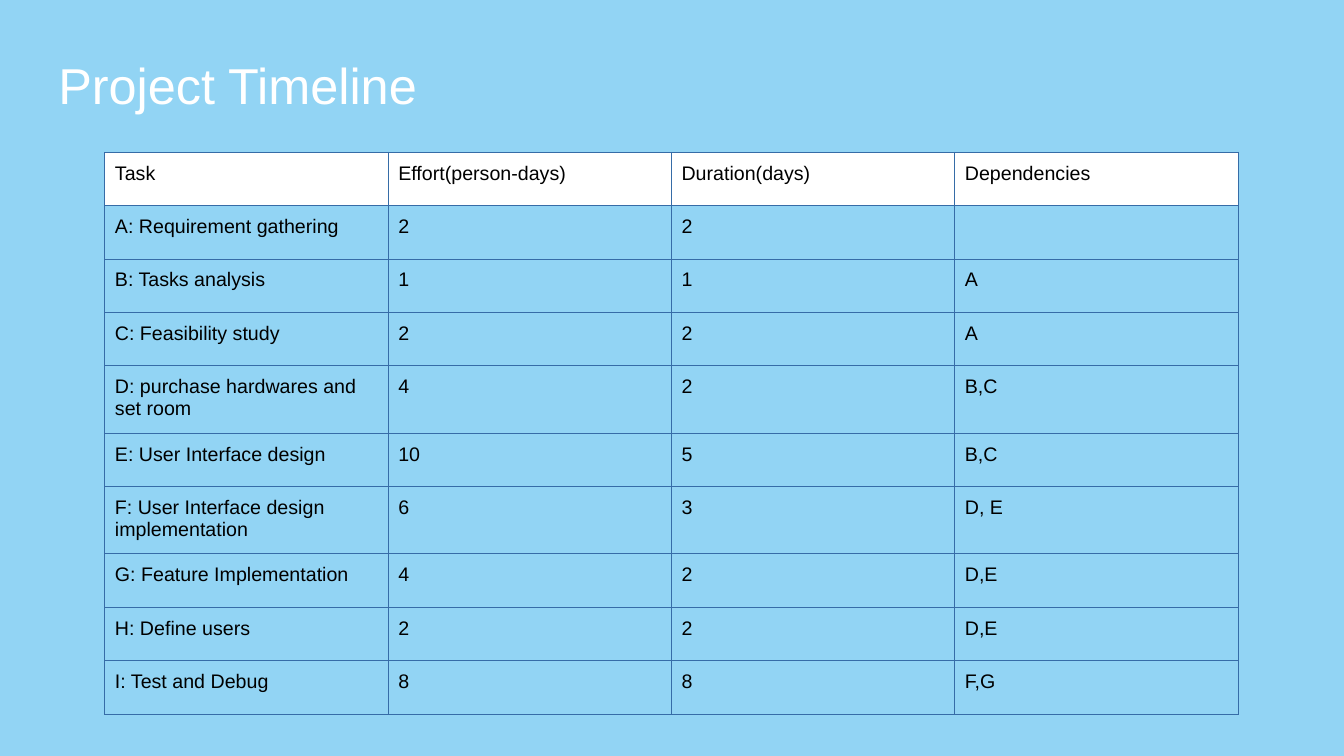
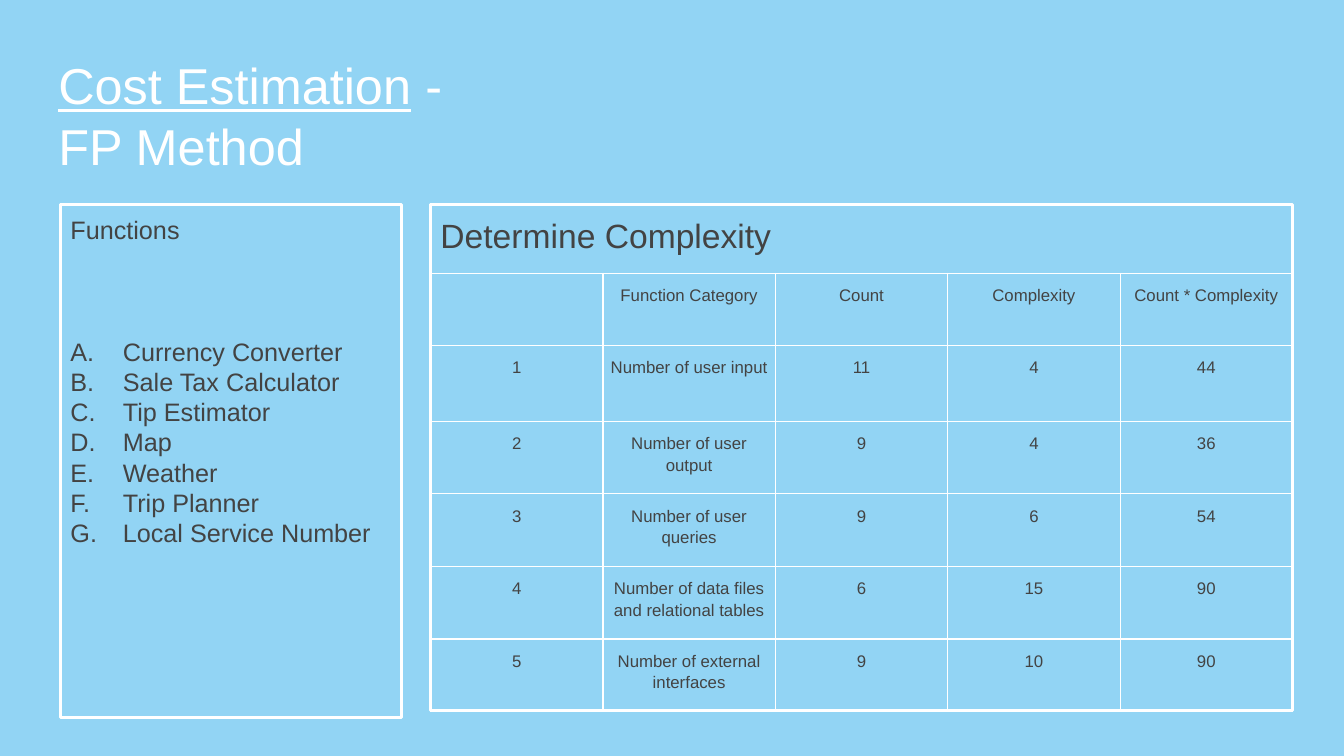
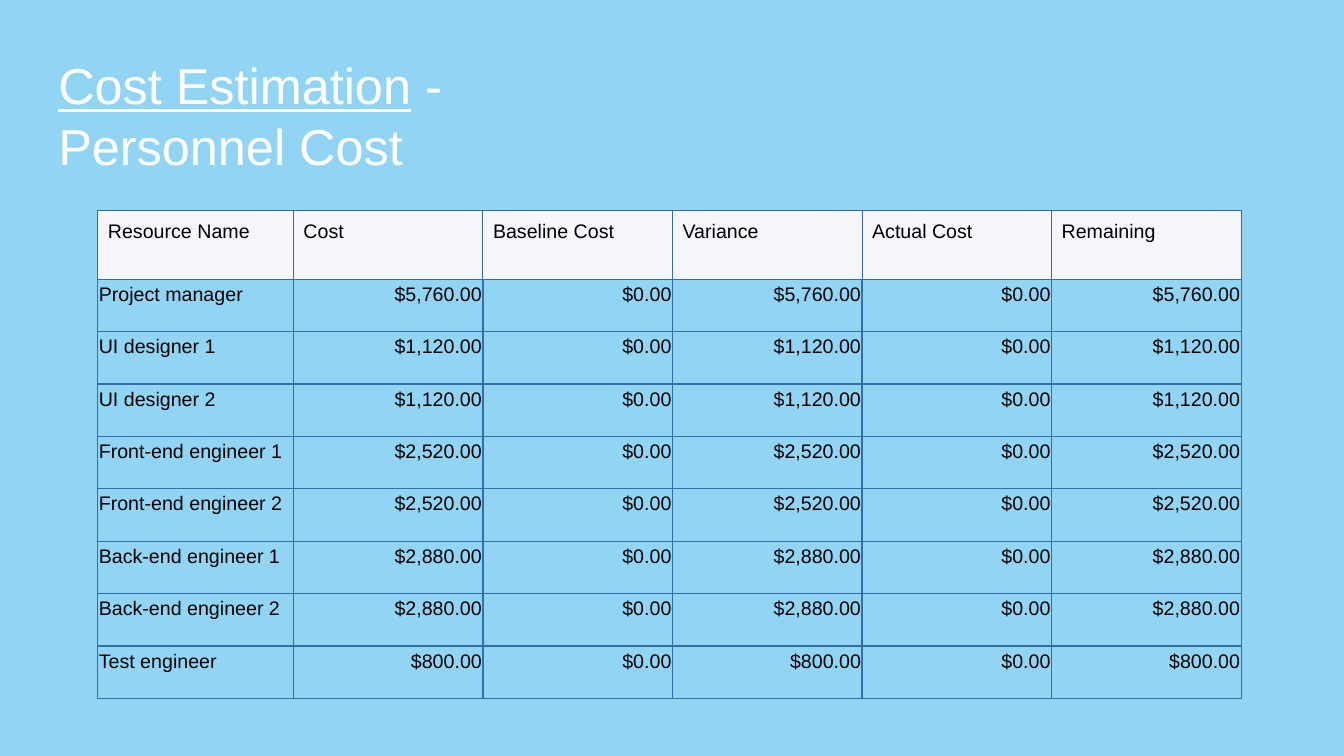
from dataclasses import dataclass

from lxml import etree
from pptx import Presentation
from pptx.dml.color import RGBColor
from pptx.enum.shapes import MSO_SHAPE
from pptx.enum.text import MSO_ANCHOR, PP_ALIGN
from pptx.oxml.ns import qn
from pptx.util import Inches, Pt

RECTANGLE = MSO_SHAPE.RECTANGLE
TOP = MSO_ANCHOR.TOP
LEFT, CENTER, RIGHT = PP_ALIGN.LEFT, PP_ALIGN.CENTER, PP_ALIGN.RIGHT

FONT = "Arial"
COLORS = {
    "sky": "92D4F4",
    "white": "FFFFFF",
    "ink": "000000",
    "slate": "434343",
    "grid": "366CA7",
    "header": "F5F7FC",
}

TASKS = [
    ("Task", "Effort(person-days)", "Duration(days)", "Dependencies"),
    ("A: Requirement gathering", "2", "2", ""),
    ("B: Tasks analysis", "1", "1", "A"),
    ("C: Feasibility study", "2", "2", "A"),
    ("D: purchase hardwares and set room", "4", "2", "B,C"),
    ("E: User Interface design", "10", "5", "B,C"),
    ("F: User Interface design implementation", "6", "3", "D, E"),
    ("G: Feature Implementation", "4", "2", "D,E"),
    ("H: Define users", "2", "2", "D,E"),
    ("I: Test and Debug", "8", "8", "F,G"),
]
FUNCTIONS = [
    "Currency Converter", "Sale Tax Calculator", "Tip Estimator", "Map",
    "Weather", "Trip Planner", "Local Service Number",
]
CATEGORIES = [
    ("Number of user input", 11, 4),
    ("Number of user output", 9, 4),
    ("Number of user queries", 9, 6),
    ("Number of data files and relational tables", 6, 15),
    ("Number of external interfaces", 9, 10),
]
PERSONNEL = [
    ("Project manager", 5760),
    ("UI designer 1", 1120),
    ("UI designer 2", 1120),
    ("Front-end engineer 1", 2520),
    ("Front-end engineer 2", 2520),
    ("Back-end engineer 1", 2880),
    ("Back-end engineer 2", 2880),
    ("Test engineer", 800),
]


@dataclass
class CellStyle:
    size: int = 14
    color: str = "ink"
    fill: str | None = None
    align: PP_ALIGN = LEFT
    spacing: float | None = None
    inset_x: float = 0.1
    inset_y: float = 0.1
    border: str = "grid"
    border_top: float = 1
    border_side: float = 1
    border_bottom: float = 1


def rgb(name):
    return RGBColor.from_string(COLORS[name])


def set_font(paragraph, size, color):
    font = paragraph.font
    font.name, font.size = FONT, Pt(size)
    font.color.rgb = rgb(color)


def set_insets(holder, x=0.1, y=0.1):
    holder.margin_left = holder.margin_right = Inches(x)
    holder.margin_top = holder.margin_bottom = Inches(y)


def add_title(slide, topic, rest=(), underline=False):
    """Title whose topic may be underlined; each item of rest is (text, starts a new line)."""
    frame = slide.shapes.add_textbox(
        Inches(0.48), Inches(0.44), Inches(6.18), Inches(0.7)).text_frame
    frame.word_wrap = True
    set_insets(frame)
    paragraph = frame.paragraphs[0]
    run = paragraph.add_run()
    run.text = topic
    if underline:
        run.font.underline = True
    for text, new_line in rest:
        if new_line:
            paragraph = frame.add_paragraph()
        paragraph.add_run().text = text
    for paragraph in frame.paragraphs:
        set_font(paragraph, 36, "white")


def add_panel(slide, left, top, width, height, heading, size):
    """White outlined panel; returns its text frame."""
    panel = slide.shapes.add_shape(
        RECTANGLE, Inches(left), Inches(top), Inches(width), Inches(height))
    panel.shadow.inherit = False
    panel.fill.background()
    panel.line.color.rgb = rgb("white")
    panel.line.width = Pt(2.25)
    frame = panel.text_frame
    frame.word_wrap = True
    frame.vertical_anchor = TOP
    set_insets(frame)
    paragraph = frame.paragraphs[0]
    paragraph.text = heading
    paragraph.alignment = LEFT
    set_font(paragraph, size, "slate")
    return frame


def add_lettered_list(frame, items, size, gap_before):
    for index, item in enumerate(items):
        paragraph = frame.add_paragraph()
        paragraph.text = item
        paragraph.alignment = LEFT
        set_font(paragraph, size, "slate")
        if index == 0:
            paragraph.space_before = Pt(gap_before)
        properties = paragraph._p.get_or_add_pPr()
        properties.set("marL", str(Inches(0.52)))
        properties.set("indent", str(-Inches(0.52)))
        numbering = etree.Element(qn("a:buAutoNum"), type="alphaUcPeriod")
        properties.find(qn("a:defRPr")).addprevious(numbering)


def set_borders(cell, style):
    properties = cell._tc.get_or_add_tcPr()
    widths = {"L": style.border_side, "R": style.border_side,
              "T": style.border_top, "B": style.border_bottom}
    for side, width in widths.items():
        line = etree.SubElement(properties, qn(f"a:ln{side}"), w=str(Pt(width)))
        fill = etree.SubElement(line, qn("a:solidFill"))
        etree.SubElement(fill, qn("a:srgbClr"), val=COLORS[style.border])


def fill_cell(cell, text, style):
    set_borders(cell, style)
    if style.fill:
        cell.fill.solid()
        cell.fill.fore_color.rgb = rgb(style.fill)
    else:
        cell.fill.background()
    set_insets(cell, style.inset_x, style.inset_y)
    paragraph = cell.text_frame.paragraphs[0]
    paragraph.text = text
    paragraph.alignment = style.align
    if style.spacing:
        paragraph.line_spacing = style.spacing
    set_font(paragraph, style.size, style.color)


def add_grid(slide, left, top, widths, heights, rows, style_of):
    """Table whose cell styles come from style_of(row, column)."""
    table = slide.shapes.add_table(
        len(rows), len(widths), Inches(left), Inches(top),
        Inches(sum(widths)), Inches(sum(heights))).table
    table.first_row = table.horz_banding = False
    for column, width in zip(table.columns, widths):
        column.width = Inches(width)
    for row, height in zip(table.rows, heights):
        row.height = Inches(height)
    for r, texts in enumerate(rows):
        for c, text in enumerate(texts):
            fill_cell(table.cell(r, c), text, style_of(r, c))


def build_timeline(slide):
    add_title(slide, "Project Timeline")
    thin = dict(border_top=0.75, border_side=0.75, border_bottom=0.75)
    header, body = CellStyle(fill="white", **thin), CellStyle(**thin)
    add_grid(slide, 1.04, 1.51, [2.81] * 4, [0.53] * len(TASKS), TASKS,
             lambda r, c: body if r else header)


def build_function_points(slide):
    add_title(slide, "Cost Estimation", [(" -", False), ("FP Method", True)], underline=True)
    add_panel(slide, 4.27, 2.03, 8.55, 5.02, "Determine Complexity", 24)
    functions = add_panel(slide, 0.6, 2.03, 3.38, 5.09, "Functions", 18)
    add_lettered_list(functions, FUNCTIONS, 18, 65)

    rows = [("", "Function Category", "Count", "Complexity", "Count * Complexity")]
    for number, (category, count, weight) in enumerate(CATEGORIES, 1):
        rows.append((str(number), category, str(count), str(weight), str(count * weight)))
    style = CellStyle(size=12, color="slate", align=CENTER, spacing=1.15,
                      inset_x=0.07, border="white")
    add_grid(slide, 4.27, 2.71, [1.71] * 5, [0.72, 0.75] + [0.72] * 4, rows,
             lambda r, c: style)


def build_personnel_cost(slide):
    add_title(slide, "Cost Estimation", [(" - Personnel Cost", False)], underline=True)
    rows = [("Resource Name", "Cost", "Baseline Cost", "Variance", "Actual Cost", "Remaining")]
    for resource, amount in PERSONNEL:
        cost, none = f"${amount:,.2f}", "$0.00"
        rows.append((resource, cost, none, cost, none, cost))

    header = CellStyle(fill="header", border_top=0.75, border_side=0.75)
    body = dict(fill="sky", spacing=1.15, inset_x=0.01, inset_y=0.01)
    resource_style, money_style = CellStyle(**body), CellStyle(align=RIGHT, **body)

    def style_of(r, c):
        if r == 0:
            return header
        return money_style if c else resource_style

    add_grid(slide, 0.97, 2.09, [1.94] + [1.88] * 5,
             [0.68] + [0.52] * len(PERSONNEL), rows, style_of)


def main():
    prs = Presentation()
    prs.slide_width, prs.slide_height = Inches(13.33), Inches(7.5)
    background = prs.slide_master.background.fill
    background.solid()
    background.fore_color.rgb = rgb("sky")
    blank = prs.slide_layouts[6]
    for build in (build_timeline, build_function_points, build_personnel_cost):
        build(prs.slides.add_slide(blank))
    prs.save("out.pptx")


if __name__ == "__main__":
    main()
